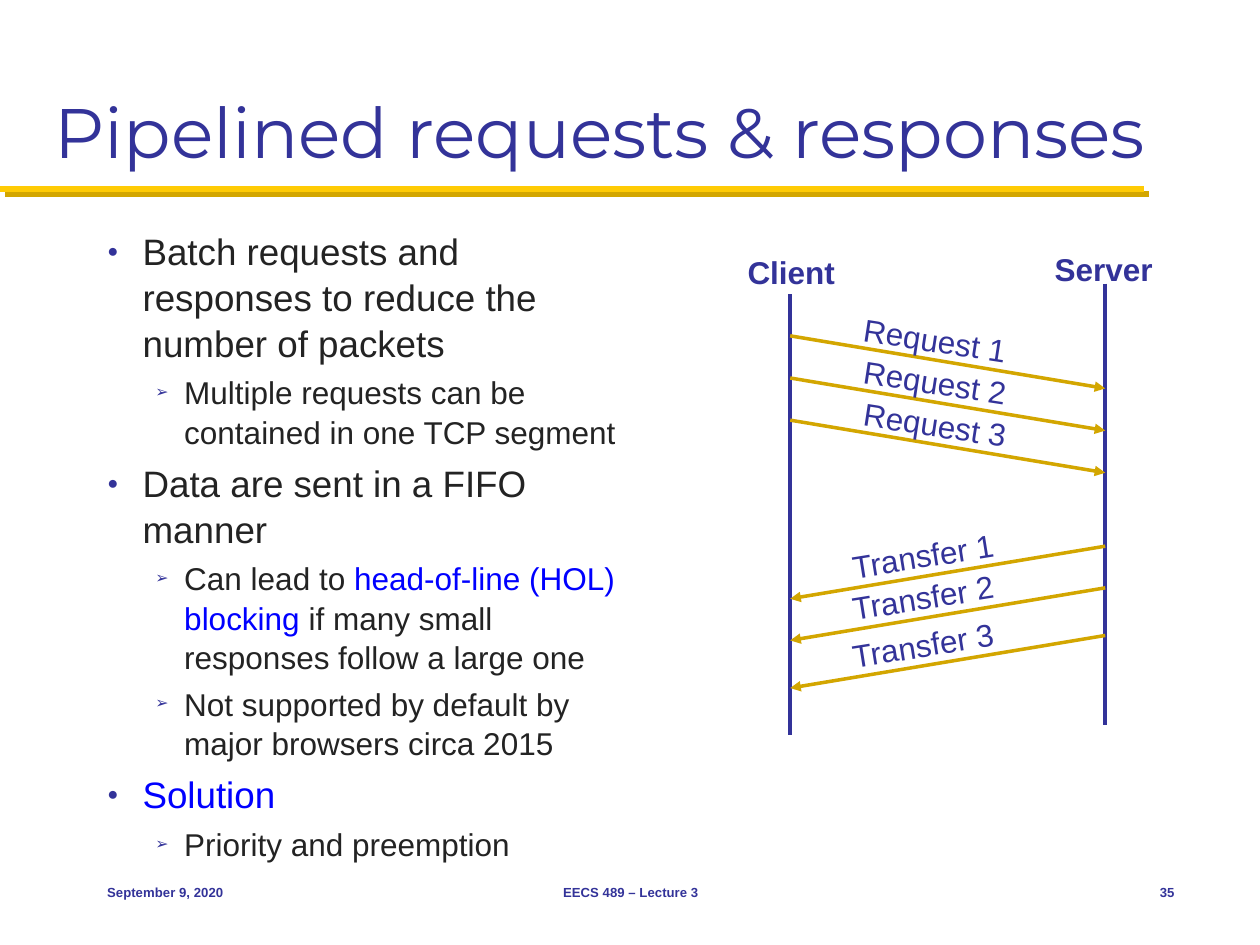
from dataclasses import dataclass

from lxml import etree
from pptx import Presentation
from pptx.dml.color import RGBColor
from pptx.enum.shapes import MSO_CONNECTOR
from pptx.enum.text import MSO_ANCHOR, MSO_AUTO_SIZE, PP_ALIGN
from pptx.oxml.ns import qn
from pptx.util import Cm, Pt

STRAIGHT = MSO_CONNECTOR.STRAIGHT
TOP, MIDDLE, BOTTOM = MSO_ANCHOR.TOP, MSO_ANCHOR.MIDDLE, MSO_ANCHOR.BOTTOM
LEFT, CENTER, RIGHT = PP_ALIGN.LEFT, PP_ALIGN.CENTER, PP_ALIGN.RIGHT
FIXED = MSO_AUTO_SIZE.NONE


@dataclass(frozen=True)
class Theme:
    navy: str = "333399"
    ink: str = "232323"
    highlight: str = "0000FF"
    yellow: str = "FFCB05"
    gold: str = "D3A600"
    heading_font: str = "Montserrat"
    text_font: str = "Arial"
    title_size: float = 40
    label_size: float = 18
    footer_size: float = 7.5


@dataclass(frozen=True)
class ListLevel:
    bullet: str
    size: float
    margin: float
    hanging: float
    space_before: float


THEME = Theme()
LEVELS = (ListLevel("●", 21, 0.71, 0.71, 4.8),
          ListLevel("➢", 18, 1.55, 0.58, 4.2))


def add_text(paragraph, text, *, size, color, font=THEME.text_font, bold=False):
    run = paragraph.add_run()
    run.text = text
    run.font.name = font
    run.font.size = Pt(size)
    run.font.bold = bold
    run.font.color.rgb = RGBColor.from_string(color)


def add_element(parent, tag, **attributes):
    element = etree.SubElement(parent, qn(tag))
    for name, value in attributes.items():
        element.set(name, str(value))
    return element


class SlideBuilder:
    def __init__(self, slide, theme):
        self.slide = slide
        self.theme = theme

    def place(self, shape, box, anchor=TOP, wrap=True):
        """Position a text shape and fix its frame; box is in centimetres."""
        shape.left, shape.top, shape.width, shape.height = map(Cm, box)
        frame = shape.text_frame
        frame.auto_size = FIXED
        frame.word_wrap = wrap
        frame.vertical_anchor = anchor
        return frame

    def title(self, text, box):
        paragraph = self.place(self.slide.shapes.title, box, BOTTOM).paragraphs[0]
        paragraph.alignment = LEFT
        add_text(paragraph, text, size=self.theme.title_size,
                 color=self.theme.navy, font=self.theme.heading_font)

    def bullets(self, items, box):
        """Each item is a level and its (text, color) runs."""
        frame = self.place(self.slide.placeholders[1], box)
        for index, (level, runs) in enumerate(items):
            paragraph = frame.add_paragraph() if index else frame.paragraphs[0]
            style = LEVELS[level]
            paragraph.level = level
            paragraph.line_spacing = 1.04
            paragraph.space_before = Pt(style.space_before if index else 0)
            properties = paragraph._p.get_or_add_pPr()
            properties.set("marL", str(Cm(style.margin)))
            properties.set("indent", str(-Cm(style.hanging)))
            bullet_color = add_element(properties, "a:buClr")
            add_element(bullet_color, "a:srgbClr", val=self.theme.navy)
            add_element(properties, "a:buSzPct", val=50000)
            add_element(properties, "a:buFont", typeface=self.theme.text_font)
            add_element(properties, "a:buChar", char=style.bullet)
            for text, color in runs:
                add_text(paragraph, text, size=style.size, color=color)

    def label(self, text, box, *, size, bold=False, align=LEFT, anchor=TOP,
              rotation=0, wrap=False):
        shape = self.slide.shapes.add_textbox(*map(Cm, box))
        shape.rotation = rotation
        paragraph = self.place(shape, box, anchor, wrap).paragraphs[0]
        paragraph.alignment = align
        add_text(paragraph, text, size=size, color=self.theme.navy, bold=bold)

    def line(self, start, end, color, width, arrow=False, shadow=None):
        connector = self.slide.shapes.add_connector(
            STRAIGHT, *map(Cm, (*start, *end)))
        connector.line.color.rgb = RGBColor.from_string(color)
        connector.line.width = Pt(width)
        if arrow:
            add_element(connector.line._get_or_add_ln(), "a:tailEnd", type="triangle")
        effects = add_element(connector._element.spPr, "a:effectLst")
        if shadow:
            outer = add_element(effects, "a:outerShdw", blurRad=0, dist=Pt(4.2),
                                dir=45 * 60000, algn="ctr", rotWithShape=0)
            add_element(outer, "a:srgbClr", val=shadow)


def main():
    presentation = Presentation()
    presentation.slide_width, presentation.slide_height = Cm(25.4), Cm(19.05)
    slide = presentation.slides.add_slide(presentation.slide_layouts[1])
    builder = SlideBuilder(slide, THEME)
    ink, highlight = THEME.ink, THEME.highlight

    # Heading and its rule
    builder.line((0, 3.81), (23.06, 3.81), THEME.yellow, 3.5, shadow=THEME.gold)
    builder.title("Pipelined requests & responses", (0.85, 0.42, 23.71, 3.18))

    # Main points
    builder.bullets([
        (0, [("Batch requests and responses to reduce the number of packets", ink)]),
        (1, [("Multiple requests can be contained in one TCP segment", ink)]),
        (0, [("Data are sent in a FIFO manner", ink)]),
        (1, [("Can lead to ", ink), ("head-of-line (HOL) blocking", highlight),
             (" if many small responses follow a large one", ink)]),
        (1, [("Not supported by default by major browsers circa 2015", ink)]),
        (0, [("Solution", highlight)]),
        (1, [("Priority and preemption", ink)]),
    ], (1.91, 4.45, 10.8, 12.28))

    # Lifelines: name, x, top of line, label box
    client_x, server_x = 15.93, 22.28
    lifelines = [("Client", client_x, 5.93, (14.82, 4.98, 2.34, 1.04)),
                 ("Server", server_x, 5.72, (21.01, 4.92, 2.54, 1.04))]
    for name, x, top, box in lifelines:
        builder.line((x, top), (x, top + 8.89), THEME.navy, 2)
        builder.label(name, box, size=THEME.label_size, bold=True)

    # Messages: name, from x, to x, start heights, label left, label rise, angle
    messages = [
        ("Request", client_x, server_x, (6.77, 7.62, 8.47), 17.15, 0.42, 8.7),
        ("Transfer", server_x, client_x, (11.01, 11.85, 12.81), 16.92, 0.33, -9.1),
    ]
    for name, from_x, to_x, heights, left, rise, angle in messages:
        for number, y in enumerate(heights, 1):
            builder.line((from_x, y), (to_x, y + 1.06), THEME.gold, 2, arrow=True)
            builder.label(f"{name} {number}", (left, y - rise, 3.48, 1.04),
                          size=THEME.label_size, rotation=angle)

    # Footer
    for text, left, width, align in [("September 9, 2020", 1.91, 5.28, LEFT),
                                     ("EECS 489 – Lecture 3", 8.69, 8.05, CENTER),
                                     ("35", 22.23, 1.7, RIGHT)]:
        builder.label(text, (left, 17.35, width, 1.27), size=THEME.footer_size,
                      bold=True, align=align, anchor=MIDDLE, wrap=True)

    presentation.save("out.pptx")


if __name__ == "__main__":
    main()
